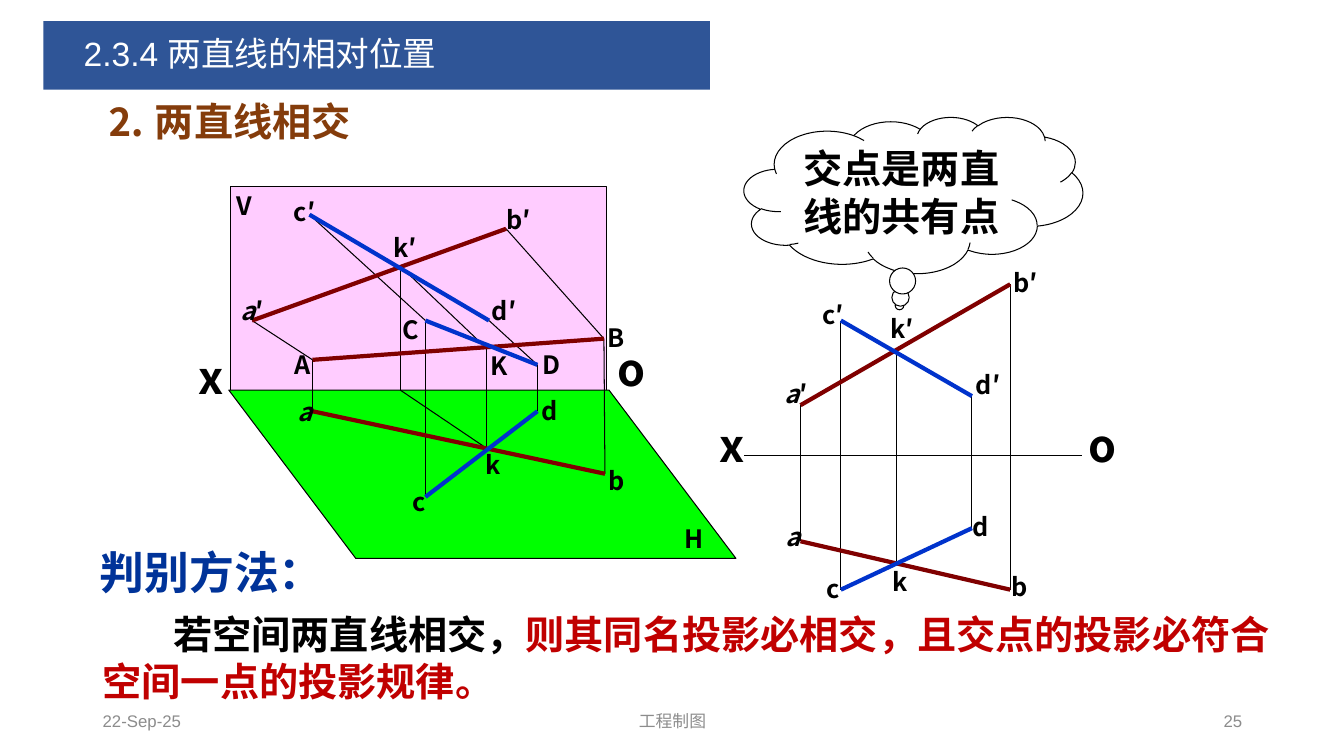
from lxml import etree
from pptx import Presentation
from pptx.dml.color import RGBColor
from pptx.enum.shapes import MSO_CONNECTOR, MSO_SHAPE
from pptx.enum.text import MSO_ANCHOR, MSO_AUTO_SIZE, PP_ALIGN
from pptx.oxml.ns import qn
from pptx.util import Inches, Pt

LEFT, CENTER, RIGHT = PP_ALIGN.LEFT, PP_ALIGN.CENTER, PP_ALIGN.RIGHT
MIDDLE, TOP = MSO_ANCHOR.MIDDLE, MSO_ANCHOR.TOP
RECTANGLE, PARALLELOGRAM = MSO_SHAPE.RECTANGLE, MSO_SHAPE.PARALLELOGRAM
CLOUD, STRAIGHT = MSO_SHAPE.CLOUD_CALLOUT, MSO_CONNECTOR.STRAIGHT
NO_FIT = MSO_AUTO_SIZE.NONE

WHITE = RGBColor(0xFF, 0xFF, 0xFF)
BLACK = RGBColor(0, 0, 0)
GRAY = RGBColor(0x8C, 0x8C, 0x8C)
BANNER = RGBColor(0x2F, 0x55, 0x97)
BROWN = RGBColor(0x84, 0x3C, 0x0B)
PINK = RGBColor(0xFF, 0xCC, 0xFF)
GREEN = RGBColor(0, 0xFF, 0)
MAROON = RGBColor(0x80, 0, 0)
BLUE = RGBColor(0, 0x33, 0xCC)
NAVY = RGBColor(0, 0x33, 0x99)
RED = RGBColor(0xC0, 0, 0)

HAN, ARIAL = "Noto Sans CJK SC", "Arial"
THIN, THICK = 0.75, 3


class Slide:
    """Holds the current page, its drawing target and the text style."""

    def __init__(self, deck):
        self.page = deck.slides.add_slide(deck.slide_layouts[1])
        self.shapes = self.page.shapes

    def start_group(self):
        self.shapes = self.page.shapes.add_group_shape().shapes

    def end_group(self):
        self.shapes = self.page.shapes

    def set_text(self, box, spans, size, align=LEFT, anchor=MIDDLE, font=HAN,
                 bold=True, wrap=True, spacing=None, indent=(0, 0)):
        """Fill a box with one paragraph of (text, colour, italic) spans."""
        frame = box.text_frame
        frame.word_wrap = wrap
        frame.auto_size = NO_FIT
        frame.vertical_anchor = anchor
        para = frame.paragraphs[0]
        para.alignment = align
        para.space_before = Pt(0)
        if spacing:
            para.line_spacing = spacing
        properties = para._p.get_or_add_pPr()
        properties.set("marL", str(Inches(indent[0])))
        properties.set("indent", str(Inches(indent[1])))
        etree.SubElement(properties, qn("a:buNone"))
        for text, color, italic in spans:
            span = para.add_run()
            span.text = text
            span.font.size = Pt(size)
            span.font.bold = bold
            span.font.italic = italic
            span.font.color.rgb = color
            span.font.name = font
            east = etree.SubElement(span._r.get_or_add_rPr(), qn("a:ea"))
            east.set("typeface", HAN)

    def placeholder(self, index, place, text, color, size, **style):
        box = self.page.placeholders[index]
        box.left, box.top, box.width, box.height = map(Inches, place)
        self.set_text(box, [(text, color, False)], size, spacing=0.9, **style)
        return box

    def text(self, place, spans, size, **style):
        box = self.shapes.add_textbox(*map(Inches, place))
        self.set_text(box, spans, size, **style)

    def label(self, name, center, top):
        """Name a point; the letter a is set in italics."""
        spans = [(letter, BLACK, letter == "a") for letter in name]
        self.text((center - 0.22, top, 0.44, 0.5), spans, 18,
                  align=CENTER, wrap=False)

    def shape(self, kind, place, fill):
        shape = self.shapes.add_shape(kind, *map(Inches, place))
        shape.shadow.inherit = False
        shape.fill.solid()
        shape.fill.fore_color.rgb = fill
        shape.line.color.rgb = BLACK
        shape.line.width = Pt(THIN)
        return shape

    def line(self, start, end, color=BLACK, width=THIN):
        line = self.shapes.add_connector(STRAIGHT, *map(Inches, start + end))
        line.line.color.rgb = color
        line.line.width = Pt(width)
        etree.SubElement(line._element.spPr, qn("a:effectLst"))

    def drawing(self, points, thin, maroon, blue, labels):
        """Join named points by lines, then label them."""
        for pairs, color, width in ((thin, BLACK, THIN), (maroon, MAROON, THICK),
                                    (blue, BLUE, THICK)):
            for pair in pairs.split():
                start, end = pair.split("-")
                self.line(points[start], points[end], color, width)
        for label in labels:
            self.label(*label)


def main():
    deck = Presentation()
    deck.slide_width, deck.slide_height = Inches(13.33), Inches(7.5)
    slide = Slide(deck)

    # Title and subtitle
    title = slide.placeholder(0, (0.43, 0.21, 6.61, 0.68), "2.3.4 两直线的相对位置",
                              WHITE, 24, font=ARIAL, bold=False, indent=(0.3, 0))
    title.fill.solid()
    title.fill.fore_color.rgb = BANNER
    slide.placeholder(1, (0.96, 0.89, 6.02, 0.68), "⒉ 两直线相交", BROWN, 28)

    # Footer
    for left, width, text, align in ((0.92, 3, "22-Sep-25", LEFT),
                                     (4.42, 4.5, "工程制图", CENTER),
                                     (9.42, 3, "25", RIGHT)):
        slide.text((left, 6.95, width, 0.4), [(text, GRAY, False)], 12,
                   align=align, font=ARIAL, bold=False)

    # Spatial view: planes V and H with both projections
    slide.start_group()
    slide.shape(RECTANGLE, (2.29, 1.85, 3.73, 2.02), PINK)
    plane_h = slide.shape(PARALLELOGRAM, (2.27, 3.87, 5.03, 1.67), GREEN)
    plane_h.adjustments[0] = 0.754
    plane_h._element.spPr.xfrm.set("flipH", "1")
    slide.drawing(
        {"a′": (2.5, 3.18), "b′": (5.02, 2.27), "c′": (3.07, 2.13),
         "d′": (4.85, 3.18), "k′": (3.97, 2.64), "A": (3.1, 3.57),
         "B": (5.99, 3.36), "C": (4.22, 3.18), "D": (5.33, 3.62),
         "K": (4.83, 3.46), "a": (3.1, 4.08), "b": (6, 4.7),
         "c": (4.22, 4.93), "d": (5.33, 4.08), "k": (4.83, 4.45),
         "axis": (3.97, 3.87)},
        "d′-D c′-C C-c D-d k′-axis axis-k K-k k′-K a-A A-a′ b′-B B-b",
        "a′-b′ a-b A-B", "c′-d′ C-D d-c",
        [("H", 6.88, 5.09), ("V", 2.42, 1.79), ("A", 3, 3.37), ("B", 6.11, 3.1),
         ("C", 4.07, 3.02), ("D", 5.47, 3.37), ("K", 4.95, 3.38),
         ("a", 3.02, 3.83), ("b", 6.12, 4.52), ("c", 4.16, 4.72),
         ("d", 5.45, 3.82), ("k", 4.89, 4.36), ("a′", 2.5, 2.83),
         ("b′", 5.14, 1.93), ("c′", 3.02, 1.85), ("k′", 4.02, 2.21),
         ("d′", 5, 2.83)])

    # Projection view: both projections about the axis
    slide.start_group()
    slide.line((7.38, 4.52), (10.73, 4.52))
    slide.drawing(
        {"a′": (7.94, 4.02), "b′": (10.02, 2.82), "c′": (8.34, 3.18),
         "d′": (9.64, 3.93), "k′": (8.89, 3.48), "a": (7.94, 5.37),
         "b": (10.02, 5.85), "c": (8.34, 5.85), "d": (9.64, 5.24),
         "k": (8.89, 5.59)},
        "a′-a b′-b c′-c d′-d k′-k", "a′-b′ a-b", "c′-d′ d-c",
        [("a", 7.86, 5.07), ("b", 10.11, 5.57), ("c", 8.26, 5.59),
         ("d", 9.73, 4.97), ("k", 8.93, 5.52), ("a′", 7.9, 3.65),
         ("b′", 10.17, 2.55), ("c′", 8.26, 2.87), ("d′", 9.8, 3.56),
         ("k′", 8.95, 3.01)])
    slide.end_group()

    # Rule
    slide.text((0.89, 5.35, 2.45, 0.64), [("判别方法：", NAVY, False)], 32, wrap=False)
    slide.text((0.92, 6, 11.85, 1.04),
               [("若空间两直线相交，", BLACK, False),
                ("则其同名投影必相交，且交点的投影必符合空间一点的投影规律。", RED, False)],
               28, spacing=Pt(34), indent=(0, 0.7))

    # Thought cloud
    cloud = slide.shape(CLOUD, (7.38, 1.16, 3.36, 1.55), WHITE)
    cloud.adjustments[0], cloud.adjustments[1] = -0.041, 0.707
    slide.set_text(cloud, [("交点是两直线的共有点", BLACK, False)], 28,
                   align=CENTER, spacing=Pt(34))

    # Axis ends
    for name, left, top in (("x", 1.87, 3.42), ("x", 7.04, 4.09),
                            ("o", 6.03, 3.34), ("o", 10.7, 4.09)):
        slide.text((left, top, 0.42, 0.63), [(name, BLACK, False)], 32,
                   anchor=TOP, wrap=False)

    deck.save("out.pptx")


if __name__ == "__main__":
    main()
